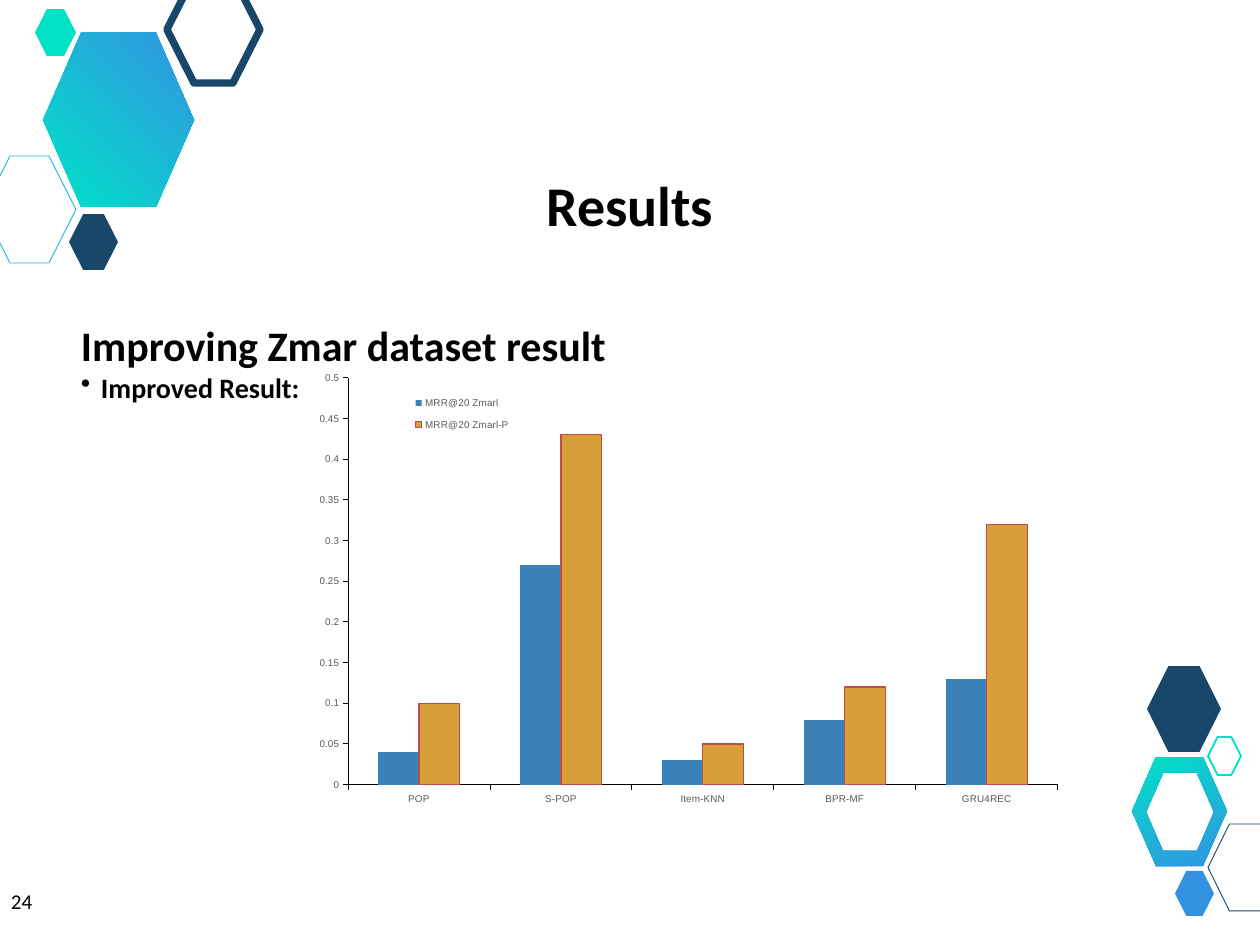
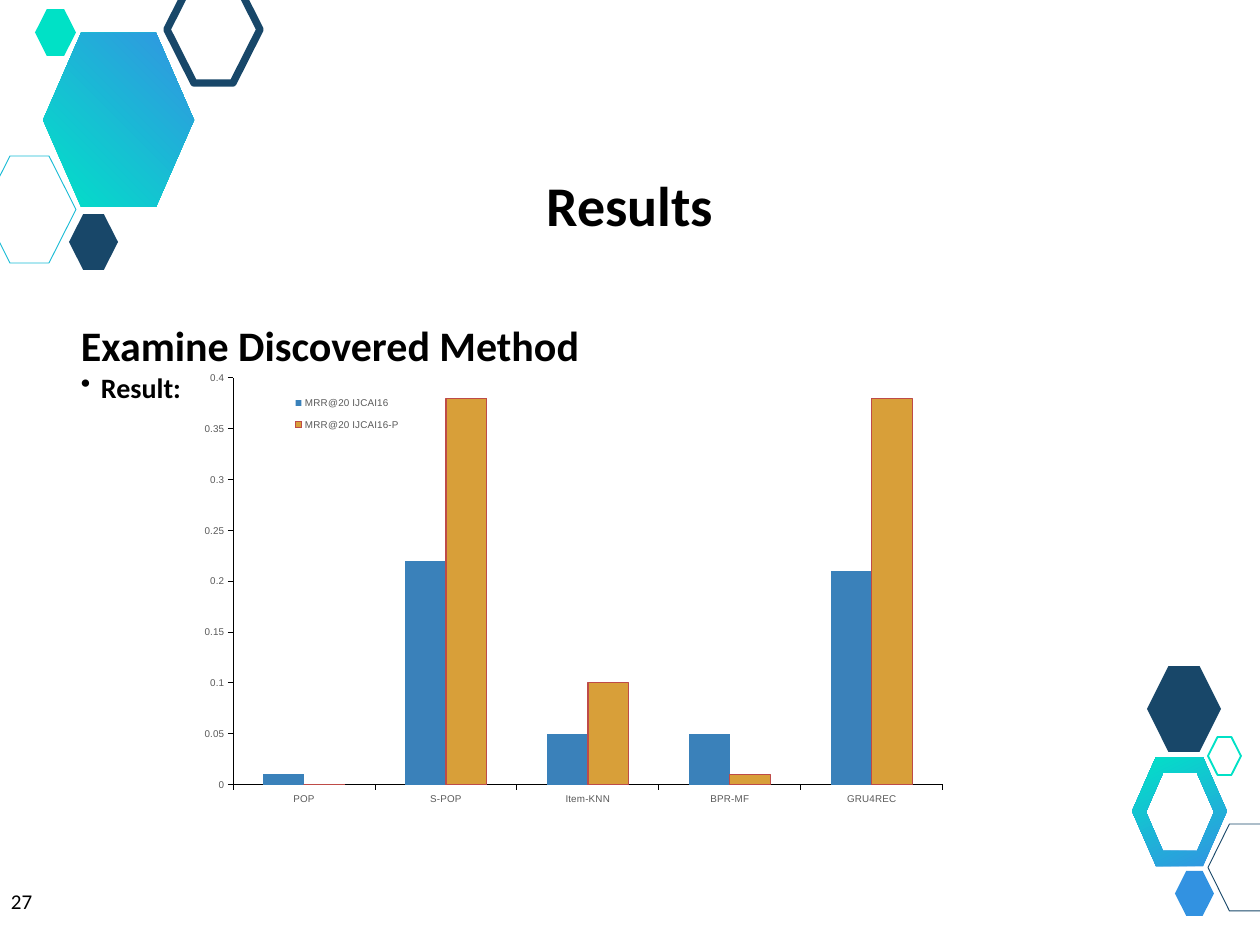
import dataclasses

import lxml.etree
import pptx
import pptx.chart.data
import pptx.dml.color
import pptx.enum.chart
import pptx.enum.shapes
import pptx.enum.text
import pptx.oxml.ns
import pptx.util

PX = 10320
SLIDE_WIDTH, SLIDE_HEIGHT = 1260, 945
HEXAGON_ADJUSTMENT = 0.29
qn = pptx.oxml.ns.qn


@dataclasses.dataclass(frozen=True)
class Theme:
    text: str = "000000"
    chart_text: str = "595959"
    navy: str = "184769"
    teal: str = "00E1C6"
    cyan: str = "19BBD5"
    blue: str = "3292E1"
    gradient: tuple = ("3393E2", "00E2C7")
    first_bar: str = "3A81BA"
    second_bar: str = "D89F39"
    second_bar_line: str = "BE4B48"
    text_font: str = "Calibri"
    chart_font: str = "Arial"
    title_size: float = 45.5
    heading_size: float = 34.1
    body_size: float = 22.8
    number_size: float = 17.1
    chart_size: float = 8


THEME = Theme()


@dataclasses.dataclass(frozen=True)
class Result:
    number: str
    heading: str
    bullet: str
    chart_left: int
    maximum: float
    series: tuple


CATEGORIES = ("POP", "S-POP", "Item-KNN", "BPR-MF", "GRU4REC")
RESULTS = (
    Result("24", "Improving Zmar dataset result", "Improved Result:", 305, 0.5, (
        ("MRR@20 Zmarl", (0.04, 0.27, 0.03, 0.08, 0.13)),
        ("MRR@20 Zmarl-P", (0.1, 0.43, 0.05, 0.12, 0.32)),
    )),
    Result("27", "Examine Discovered Method", "Result:", 190, 0.4, (
        ("MRR@20 IJCAI16", (0.01, 0.22, 0.05, 0.05, 0.21)),
        ("MRR@20 IJCAI16-P", (0, 0.38, 0.1, 0.01, 0.38)),
    )),
)


def emu(*lengths):
    return [pptx.util.Emu(length * PX) for length in lengths]


def rgb(color):
    return pptx.dml.color.RGBColor.from_string(color)


def style_line(line, color, width):
    line.color.rgb = rgb(color)
    line.width = pptx.util.Pt(width)


def add_hexagon(slide, box, fill=None, line=None, width=0.75):
    shape = slide.shapes.add_shape(pptx.enum.shapes.MSO_SHAPE.HEXAGON, *emu(*box))
    shape.shadow.inherit = False
    shape.adjustments[0] = HEXAGON_ADJUSTMENT
    if fill:
        shape.fill.solid()
        shape.fill.fore_color.rgb = rgb(fill)
    else:
        shape.fill.background()
    if line:
        style_line(shape.line, line, width)
    else:
        shape.line.fill.background()


def hexagon_points(left, top, width, height, inset):
    right, bottom, middle = left + width, top + height, top + height // 2
    return [
        (left, middle), (left + inset, top), (right - inset, top),
        (right, middle), (right - inset, bottom), (left + inset, bottom),
    ]


def add_gradient_outline(slide, contours, angle=None):
    builder = slide.shapes.build_freeform(*contours[0][0], scale=PX)
    builder.add_line_segments(contours[0][1:], close=True)
    for contour in contours[1:]:
        builder.move_to(*contour[0])
        builder.add_line_segments(contour[1:], close=True)
    shape = builder.convert_to_shape()
    shape.shadow.inherit = False
    shape.line.fill.background()
    shape.fill.gradient()
    for position, (stop, color) in enumerate(zip(shape.fill.gradient_stops, THEME.gradient)):
        stop.position = position
        stop.color.rgb = rgb(color)
    if angle is not None:
        shape.fill.gradient_angle = angle
        return
    gradient = shape._element.spPr.find(qn("a:gradFill"))
    linear = gradient.find(qn("a:lin"))
    radial = lxml.etree.Element(qn("a:path"))
    radial.set("path", "circle")
    focus = lxml.etree.SubElement(radial, qn("a:fillToRect"))
    focus.set("l", "100000")
    focus.set("b", "100000")
    gradient.replace(linear, radial)


def add_top_cluster(slide, left, top):
    add_gradient_outline(slide, [hexagon_points(left + 43, top + 33, 151, 174, 38)])
    add_hexagon(slide, (left - 17, top + 156, 93, 107), line=THEME.cyan)
    add_hexagon(slide, (left + 69, top + 214, 49, 56), fill=THEME.navy)
    add_hexagon(slide, (left + 167, top - 24, 93, 107), line=THEME.navy, width=6)
    add_hexagon(slide, (left + 35, top + 9, 41, 47), fill=THEME.teal)


def add_bottom_cluster(slide, left, top):
    outer = hexagon_points(left, top + 91, 95, 109, 24)
    inner = hexagon_points(left + 14, top + 107, 68, 78, 17)
    add_gradient_outline(slide, [outer, inner[::-1]], angle=116)
    add_hexagon(slide, (left + 76, top + 158, 74, 87), line=THEME.navy)
    add_hexagon(slide, (left + 43, top + 205, 39, 45), fill=THEME.blue)
    add_hexagon(slide, (left + 15, top, 74, 86), fill=THEME.navy)
    add_hexagon(slide, (left + 76, top + 71, 33, 38), line=THEME.teal, width=1.5)


def add_text(slide, box, text, size, bold=True, margin=4):
    shape = slide.shapes.add_textbox(*emu(*box))
    frame = shape.text_frame
    frame.word_wrap = True
    for side in ("left", "top", "right", "bottom"):
        setattr(frame, "margin_" + side, pptx.util.Emu(margin * PX))
    paragraph = frame.paragraphs[0]
    run = paragraph.add_run()
    run.text = text
    run.font.name = THEME.text_font
    run.font.size = pptx.util.Pt(size)
    run.font.bold = bold
    run.font.color.rgb = rgb(THEME.text)
    return frame, paragraph


def add_title(slide, box):
    frame, paragraph = add_text(slide, box, "Results", THEME.title_size)
    frame.vertical_anchor = pptx.enum.text.MSO_ANCHOR.MIDDLE
    paragraph.alignment = pptx.enum.text.PP_ALIGN.CENTER


def add_body(slide, box, result):
    left, top, width, height = box
    heading_height = 50
    add_text(slide, (left, top, width, heading_height), result.heading, THEME.heading_size)
    bullet_box = (left, top + heading_height, width, height - heading_height)
    paragraph = add_text(slide, bullet_box, result.bullet, THEME.body_size)[1]
    properties = paragraph._p.get_or_add_pPr()
    indent = 20 * PX
    properties.set("marL", str(indent))
    properties.set("indent", str(-indent))
    lxml.etree.SubElement(properties, qn("a:buChar")).set("char", "•")


def set_layout(element, index, chart_box, box, inner=False):
    for existing in element.findall(qn("c:layout")):
        element.remove(existing)
    layout = lxml.etree.Element(qn("c:layout"))
    manual = lxml.etree.SubElement(layout, qn("c:manualLayout"))
    settings = [("layoutTarget", "inner")] if inner else []
    settings += [("xMode", "edge"), ("yMode", "edge")]
    sizes = chart_box[2:] * 2
    settings += [(name, str(round(length / size, 3)))
                 for name, length, size in zip("xywh", box, sizes)]
    for name, setting in settings:
        lxml.etree.SubElement(manual, qn("c:" + name)).set("val", setting)
    element.insert(index, layout)


def add_result_chart(slide, box, result):
    chart_data = pptx.chart.data.CategoryChartData()
    chart_data.categories = CATEGORIES
    for name, values in result.series:
        chart_data.add_series(name, values)
    chart = slide.shapes.add_chart(
        pptx.enum.chart.XL_CHART_TYPE.COLUMN_CLUSTERED, *emu(*box), chart_data).chart
    chart.has_title = False
    chart.font.name = THEME.chart_font
    chart.font.size = pptx.util.Pt(THEME.chart_size)
    chart.font.color.rgb = rgb(THEME.chart_text)

    plot = chart.plots[0]
    plot.vary_by_categories = False
    plot.gap_width = 150
    plot.overlap = 0
    for series, color in zip(plot.series, (THEME.first_bar, THEME.second_bar)):
        series.format.fill.solid()
        series.format.fill.fore_color.rgb = rgb(color)
    plot.series[0].format.line.fill.background()
    style_line(plot.series[1].format.line, THEME.second_bar_line, 1)

    for axis in (chart.category_axis, chart.value_axis):
        axis.has_major_gridlines = False
        axis.major_tick_mark = pptx.enum.chart.XL_TICK_MARK.OUTSIDE
        axis.minor_tick_mark = pptx.enum.chart.XL_TICK_MARK.NONE
        style_line(axis.format.line, THEME.text, 0.75)
    chart.value_axis.minimum_scale = 0
    chart.value_axis.maximum_scale = result.maximum
    chart.value_axis.major_unit = 0.05

    chart.has_legend = True
    chart.legend.position = pptx.enum.chart.XL_LEGEND_POSITION.LEFT
    chart.legend.include_in_layout = True
    set_layout(chart._chartSpace.chart.plotArea, 0, box, (43, 14, 710, 407), inner=True)
    set_layout(chart.legend._element, 1, box, (102, 23, 110, 54))


def add_result_slide(presentation, result):
    slide = presentation.slides.add_slide(presentation.slide_layouts[6])
    add_top_cluster(slide, 0, 0)
    add_bottom_cluster(slide, 1132, 666)
    add_text(slide, (2, 879, 75, 66), result.number, THEME.number_size, bold=False, margin=9)
    add_title(slide, (384, 167, 492, 75))
    add_result_chart(slide, (result.chart_left, 364, 769, 448), result)
    add_body(slide, (77, 316, 1094, 476), result)


def main():
    presentation = pptx.Presentation()
    presentation.slide_width, presentation.slide_height = emu(SLIDE_WIDTH, SLIDE_HEIGHT)
    for result in RESULTS:
        add_result_slide(presentation, result)
    presentation.save("out.pptx")


if __name__ == "__main__":
    main()
